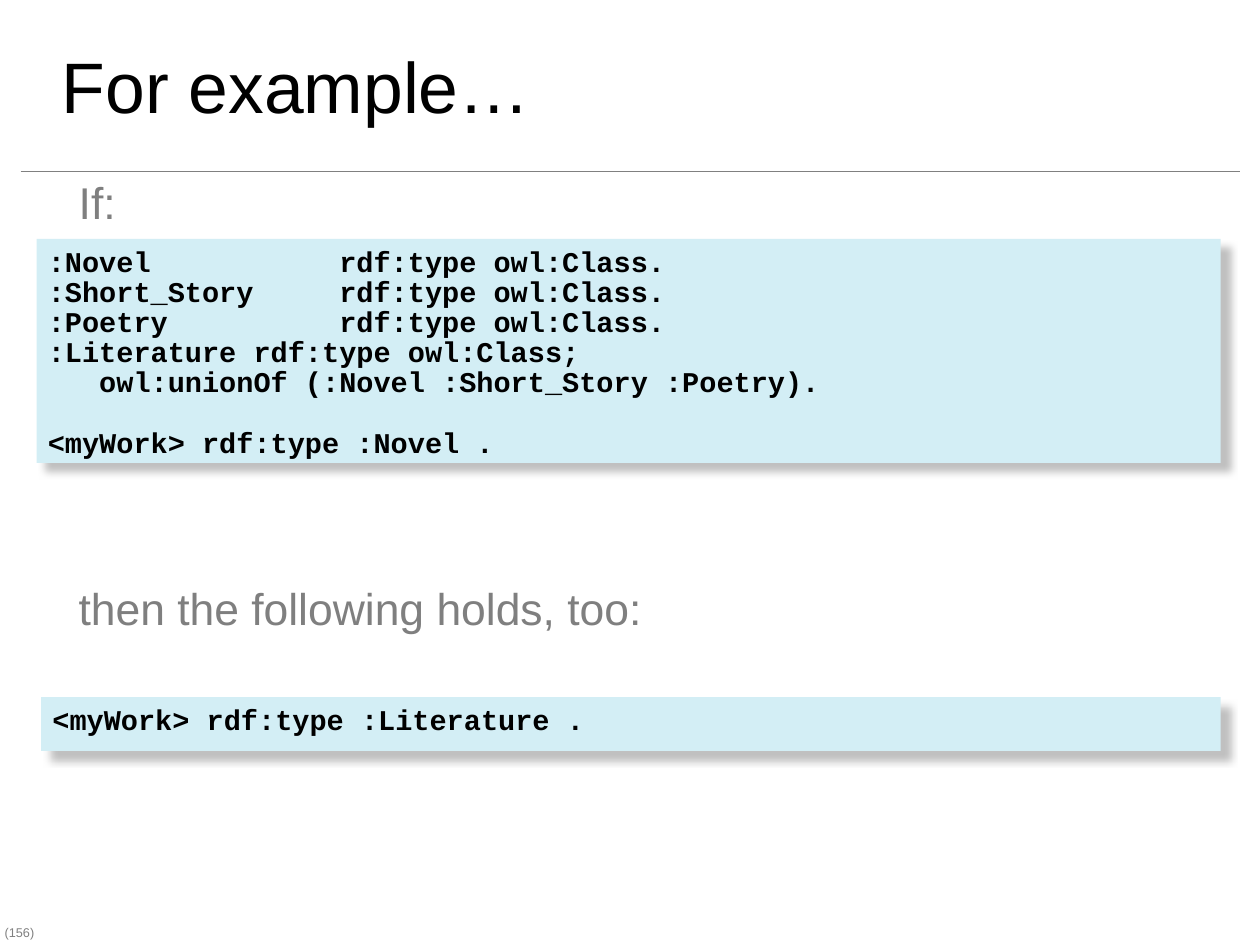
from lxml import etree
from pptx import Presentation
from pptx.dml.color import RGBColor
from pptx.enum import shapes, text
from pptx.oxml import ns
from pptx.util import Inches, Pt

BLACK = RGBColor(0x00, 0x00, 0x00)
GRAY = RGBColor(0x80, 0x80, 0x80)
BODY_GRAY = RGBColor(0x7F, 0x7F, 0x7F)
CODE_FILL = RGBColor(0xD3, 0xEE, 0xF5)
SHADOW = RGBColor(0xC0, 0xC0, 0xC0)

CM_PER_INCH = 2.54
SLIDE_WIDTH = Inches(28 / CM_PER_INCH)
SLIDE_HEIGHT = Inches(21 / CM_PER_INCH)
CODE_LINE_SPACING = 0.88
CODE_GAP = Pt(19)

PREMISE = [
    ":Novel           rdf:type owl:Class.",
    ":Short_Story     rdf:type owl:Class.",
    ":Poetry          rdf:type owl:Class.",
    ":Literature rdf:type owl:Class;",
    "   owl:unionOf (:Novel :Short_Story :Poetry).",
]
FACT = "<myWork> rdf:type :Novel ."
CONCLUSION = "<myWork> rdf:type :Literature ."


def set_frame(frame, left, top, right, bottom, anchor=text.MSO_ANCHOR.TOP):
    frame.word_wrap = True
    frame.vertical_anchor = anchor
    frame.margin_left, frame.margin_top = Inches(left), Inches(top)
    frame.margin_right, frame.margin_bottom = Inches(right), Inches(bottom)


def format_paragraph(paragraph, font_name, size, color, bold=False):
    paragraph.alignment = text.PP_ALIGN.LEFT
    for run in paragraph.runs:
        run.font.name = font_name
        run.font.size = Pt(size)
        run.font.bold = bold
        run.font.color.rgb = color


def add_title(slide, wording):
    title = slide.shapes.title
    title.left, title.top = Inches(0.43), Inches(0.05)
    title.width, title.height = Inches(10.25), Inches(1.38)
    title.text_frame.text = wording
    set_frame(title.text_frame, 0.11, 0.06, 0.11, 0.06, text.MSO_ANCHOR.MIDDLE)
    format_paragraph(title.text_frame.paragraphs[0], "Arial", 45, BLACK)


def add_label(slide, wording, left, top, width, height, size, color, margins):
    box = slide.shapes.add_textbox(
        Inches(left), Inches(top), Inches(width), Inches(height))
    box.text_frame.text = wording
    set_frame(box.text_frame, *margins)
    paragraph = box.text_frame.paragraphs[0]
    paragraph.line_spacing = 0.87
    format_paragraph(paragraph, "Arial", size, color)


def add_statement(slide, wording, top, width):
    add_label(slide, wording, 0.59, top, width, 0.6, 28, BODY_GRAY,
              (0.1, 0.11, 0.1, 0.05))


def add_rule(slide):
    rule = slide.shapes.add_connector(
        shapes.MSO_CONNECTOR.STRAIGHT,
        Inches(0.18), Inches(1.5), Inches(10.85), Inches(1.5))
    rule.line.color.rgb = GRAY
    rule.line.width = Pt(1)
    etree.SubElement(rule._element.spPr, ns.qn("a:effectLst"))


def add_shadow(shape):
    shape.shadow.inherit = False
    effects = shape._element.spPr.find(ns.qn("a:effectLst"))
    shadow = etree.SubElement(
        effects, ns.qn("a:outerShdw"), blurRad=str(Pt(5)), dist=str(Pt(8)),
        dir=str(45 * 60000), algn="tl", rotWithShape="0")
    etree.SubElement(shadow, ns.qn("a:srgbClr"), val=str(SHADOW))


def add_code(slide, lines, left, top, width, height):
    panel = slide.shapes.add_shape(
        shapes.MSO_SHAPE.RECTANGLE,
        Inches(left), Inches(top), Inches(width), Inches(height))
    panel.fill.solid()
    panel.fill.fore_color.rgb = CODE_FILL
    panel.line.fill.background()
    add_shadow(panel)
    frame = panel.text_frame
    frame.text = "\n".join(lines)
    set_frame(frame, 0.1, 0.08, 0.1, 0.05)
    for paragraph in frame.paragraphs:
        paragraph.line_spacing = CODE_LINE_SPACING
        format_paragraph(paragraph, "Courier New", 18, BLACK, bold=True)
    return panel


def main():
    presentation = Presentation()
    presentation.slide_width = SLIDE_WIDTH
    presentation.slide_height = SLIDE_HEIGHT
    slide = presentation.slides.add_slide(presentation.slide_layouts[5])

    add_title(slide, "For example…")
    add_rule(slide)
    add_statement(slide, "If:", 1.49, 4.92)
    premise = add_code(slide, PREMISE + [FACT], 0.32, 2.09, 10.36, 1.96)
    premise.text_frame.paragraphs[-1].space_before = CODE_GAP
    add_statement(slide, "then the following holds, too:", 5.04, 10.04)
    add_code(slide, [CONCLUSION], 0.36, 6.1, 10.32, 0.47)
    add_label(slide, "(156)", 0, 8.06, 0.41, 0.2, 8, GRAY,
              (0.04, 0.05, 0, 0))

    presentation.save("out.pptx")


if __name__ == "__main__":
    main()
